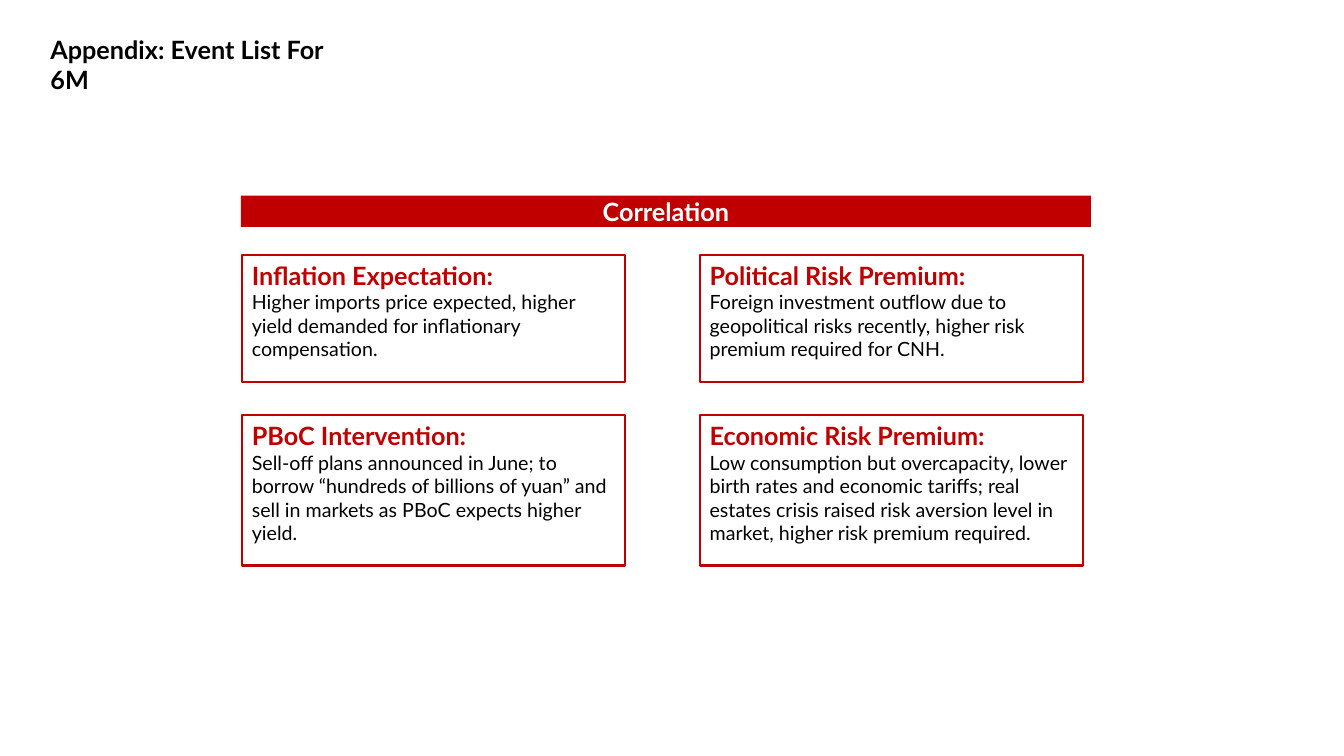
"""Build the appendix slide listing the drivers of correlation."""
from pptx import Presentation
from pptx.dml.color import RGBColor
from pptx.enum.shapes import MSO_SHAPE
from pptx.enum.text import MSO_ANCHOR, MSO_AUTO_SIZE, PP_ALIGN
from pptx.util import Inches, Pt

RECT = MSO_SHAPE.RECTANGLE
TOP, MIDDLE = MSO_ANCHOR.TOP, MSO_ANCHOR.MIDDLE
LEFT, CENTER = PP_ALIGN.LEFT, PP_ALIGN.CENTER
NO_AUTOFIT = MSO_AUTO_SIZE.NONE

FONT = "Lato"
TITLE_ONLY = 5
COLORS = {"red": "C00000", "black": "000000", "white": "FFFFFF"}

COLUMNS = (2.4, 6.94)
CARD_WIDTH = 3.8
CARD_ROWS = (
    (2.53, 1.26, (
        ("Inflation Expectation:",
         "Higher imports price expected, higher yield demanded for "
         "inflationary compensation."),
        ("Political Risk Premium:",
         "Foreign investment outflow due to geopolitical risks recently, "
         "higher risk premium required for CNH."),
    )),
    (4.12, 1.49, (
        ("PBoC Intervention:",
         "Sell-off plans announced in June; to borrow “hundreds of billions "
         "of yuan” and sell in markets as PBoC expects higher yield."),
        ("Economic Risk Premium:",
         "Low consumption but overcapacity, lower birth rates and economic "
         "tariffs; real estates crisis raised risk aversion level in market, "
         "higher risk premium required."),
    )),
)


def rgb(name):
    """Return the named colour."""
    return RGBColor.from_string(COLORS[name])


def set_paragraph(p, text, color, size=18, bold=True, align=LEFT):
    """Write and format one paragraph."""
    p.text = text
    p.alignment = align
    font = p.runs[0].font
    font.name, font.size, font.bold = FONT, Pt(size), bold
    font.color.rgb = rgb(color)


def set_title(s, text, left, top, width, height):
    """Place and format the slide title."""
    sp = s.shapes.title
    sp.left, sp.top = Inches(left), Inches(top)
    sp.width, sp.height = Inches(width), Inches(height)
    tf = sp.text_frame
    tf.word_wrap = True
    tf.auto_size = NO_AUTOFIT
    tf.vertical_anchor = TOP
    set_paragraph(tf.paragraphs[0], text, "black")


def add_rect(s, left, top, width, height, anchor):
    """Add a rectangle without a shadow."""
    sp = s.shapes.add_shape(RECT, Inches(left), Inches(top),
                            Inches(width), Inches(height))
    sp.shadow.inherit = False
    sp.text_frame.word_wrap = True
    sp.text_frame.vertical_anchor = anchor
    return sp


def add_banner(s, text, left, top, width, height):
    """Add a solid heading bar."""
    sp = add_rect(s, left, top, width, height, MIDDLE)
    sp.fill.solid()
    sp.fill.fore_color.rgb = rgb("red")
    sp.line.fill.background()
    set_paragraph(sp.text_frame.paragraphs[0], text, "white", align=CENTER)


def add_card(s, heading, body, left, top, width, height):
    """Add an outlined card with a heading and body text."""
    sp = add_rect(s, left, top, width, height, TOP)
    sp.fill.background()
    sp.line.color.rgb = rgb("red")
    sp.line.width = Pt(1.5)
    tf = sp.text_frame
    set_paragraph(tf.paragraphs[0], heading, "red")
    set_paragraph(tf.add_paragraph(), body, "black", size=14, bold=False)


def main():
    """Build and save the slide."""
    prs = Presentation()
    prs.slide_width, prs.slide_height = Inches(13.33), Inches(7.5)
    s = prs.slides.add_slide(prs.slide_layouts[TITLE_ONLY])
    set_title(s, "Appendix: Event List For 6M", 0.4, 0.29, 3.33, 0.4)
    for top, height, cards in CARD_ROWS:
        for left, (heading, body) in zip(COLUMNS, cards):
            add_card(s, heading, body, left, top, CARD_WIDTH, height)
    add_banner(s, "Correlation", 2.39, 1.94, 8.43, 0.31)
    prs.save("out.pptx")


if __name__ == "__main__":
    main()
